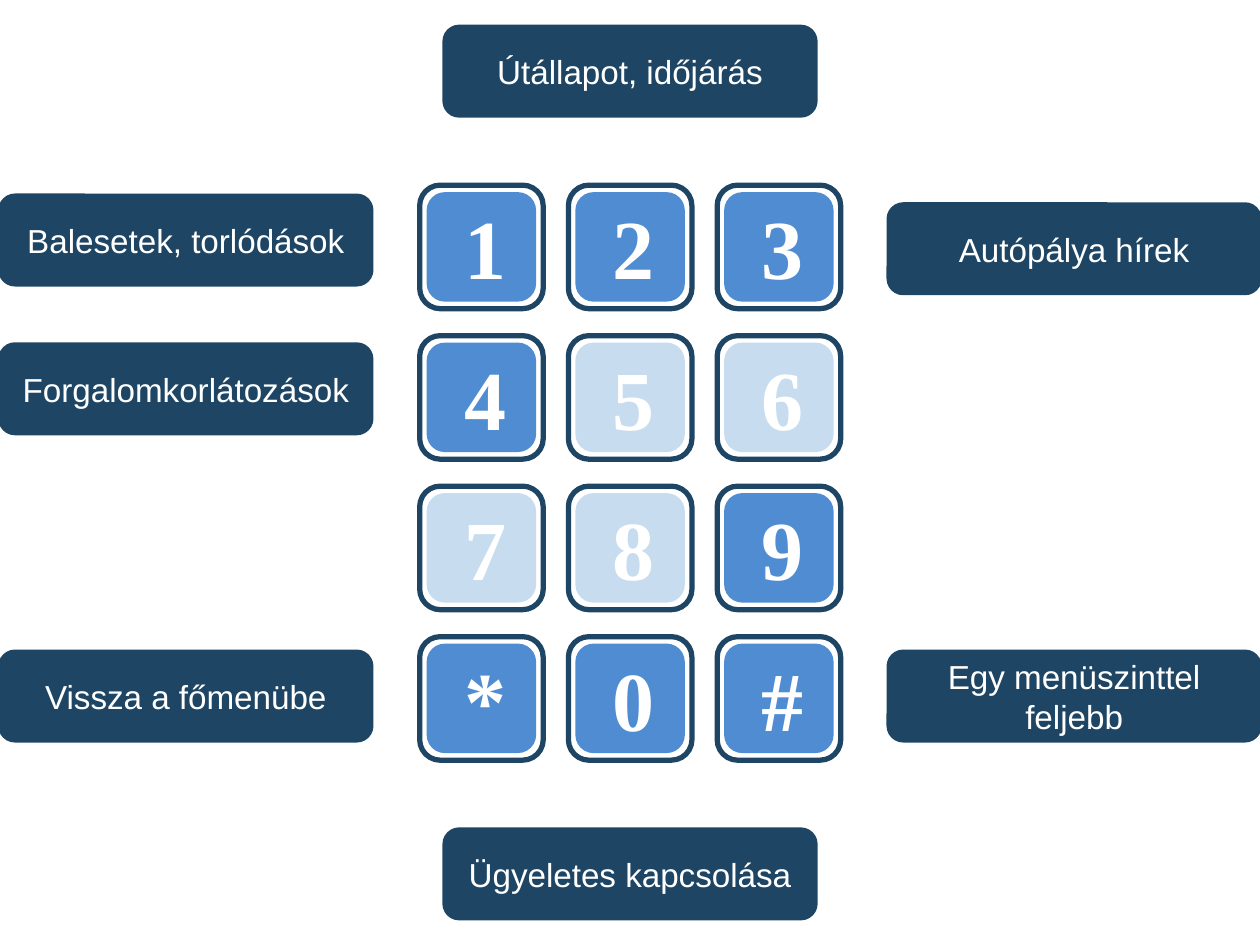
from pptx import Presentation
from pptx.dml.color import RGBColor
from pptx.enum.shapes import MSO_SHAPE
from pptx.enum.text import MSO_ANCHOR, MSO_AUTO_SIZE, PP_ALIGN
from pptx.util import Pt

COLORS = {"navy": "1E4664", "active": "508CD2", "inactive": "C8DCF0", "white": "FFFFFF"}

SLIDE_WIDTH, SLIDE_HEIGHT = 720, 540
LABEL_WIDTH, LABEL_HEIGHT = 212.4, 51.1
LEFT, CENTER, RIGHT = 0, (SLIDE_WIDTH - LABEL_WIDTH) / 2, SLIDE_WIDTH - LABEL_WIDTH
LABELS = [
    ("Útállapot, időjárás", CENTER, 15.1),
    ("Balesetek, torlódások", LEFT, 111.6),
    ("Forgalomkorlátozások", LEFT, 196.6),
    ("Vissza a főmenübe", LEFT, 372.2),
    ("Ügyeletes kapcsolása", CENTER, 473.8),
    ("Autópálya hírek", RIGHT, 116.6),
    ("Egy menüszinttel feljebb", RIGHT, 372.2),
]

KEYPAD_ROWS = ["123", "456", "789", "*0#"]
INACTIVE_KEYS = "5678"
KEYPAD_LEFT, KEYPAD_TOP = 239.8, 105.8
COLUMN_PITCH, ROW_PITCH = 85, 86
KEY_SIZE, FACE_SIZE = 70.6, 62.6
DIGIT_WIDTH, DIGIT_HEIGHT = 33.8, 65.5


def color(name):
    """Return the named palette colour."""
    return RGBColor.from_string(COLORS[name])


def add_rounded(shapes, left, top, width, height, fill, line_width=0):
    """Add a rounded rectangle, outlined in navy if a line width is given."""
    shape = shapes.add_shape(
        MSO_SHAPE.ROUNDED_RECTANGLE, Pt(left), Pt(top), Pt(width), Pt(height)
    )
    shape.shadow.inherit = False
    shape.fill.solid()
    shape.fill.fore_color.rgb = color(fill)
    if line_width:
        shape.line.color.rgb = color("navy")
        shape.line.width = Pt(line_width)
    else:
        shape.line.fill.background()
    return shape


def write_text(shape, text, font_name, size, bold=False):
    """Put centred white text in a shape."""
    shape.text_frame.text = text
    shape.text_frame.word_wrap = True
    paragraph = shape.text_frame.paragraphs[0]
    paragraph.alignment = PP_ALIGN.CENTER
    font = paragraph.runs[0].font
    font.name = font_name
    font.size = Pt(size)
    font.bold = bold
    font.color.rgb = color("white")


def add_label(slide, text, left, top):
    """Add a navy label that explains a key."""
    label = add_rounded(slide.shapes, left, top, LABEL_WIDTH, LABEL_HEIGHT, "navy", 2)
    label.text_frame.vertical_anchor = MSO_ANCHOR.MIDDLE
    write_text(label, text, "Arial", 19)


def add_key(slide, symbol, left, top):
    """Add a grouped key: frame, coloured face and symbol."""
    shapes = slide.shapes.add_group_shape().shapes
    add_rounded(shapes, left, top, KEY_SIZE, KEY_SIZE, "white", 3)
    inset = (KEY_SIZE - FACE_SIZE) / 2
    fill = "inactive" if symbol in INACTIVE_KEYS else "active"
    add_rounded(shapes, left + inset, top + inset, FACE_SIZE, FACE_SIZE, fill)
    digit = shapes.add_textbox(
        Pt(left + (KEY_SIZE - DIGIT_WIDTH) / 2),
        Pt(top + (KEY_SIZE - DIGIT_HEIGHT) / 2),
        Pt(DIGIT_WIDTH),
        Pt(DIGIT_HEIGHT),
    )
    write_text(digit, symbol, "Times New Roman", 48, bold=True)
    digit.text_frame.auto_size = MSO_AUTO_SIZE.SHAPE_TO_FIT_TEXT


def main():
    """Build the phone menu slide and save it."""
    presentation = Presentation()
    presentation.slide_width = Pt(SLIDE_WIDTH)
    presentation.slide_height = Pt(SLIDE_HEIGHT)
    slide = presentation.slides.add_slide(presentation.slide_layouts[6])
    for text, left, top in LABELS:
        add_label(slide, text, left, top)
    for row, symbols in enumerate(KEYPAD_ROWS):
        for column, symbol in enumerate(symbols):
            add_key(
                slide,
                symbol,
                KEYPAD_LEFT + column * COLUMN_PITCH,
                KEYPAD_TOP + row * ROW_PITCH,
            )
    presentation.save("out.pptx")


if __name__ == "__main__":
    main()
